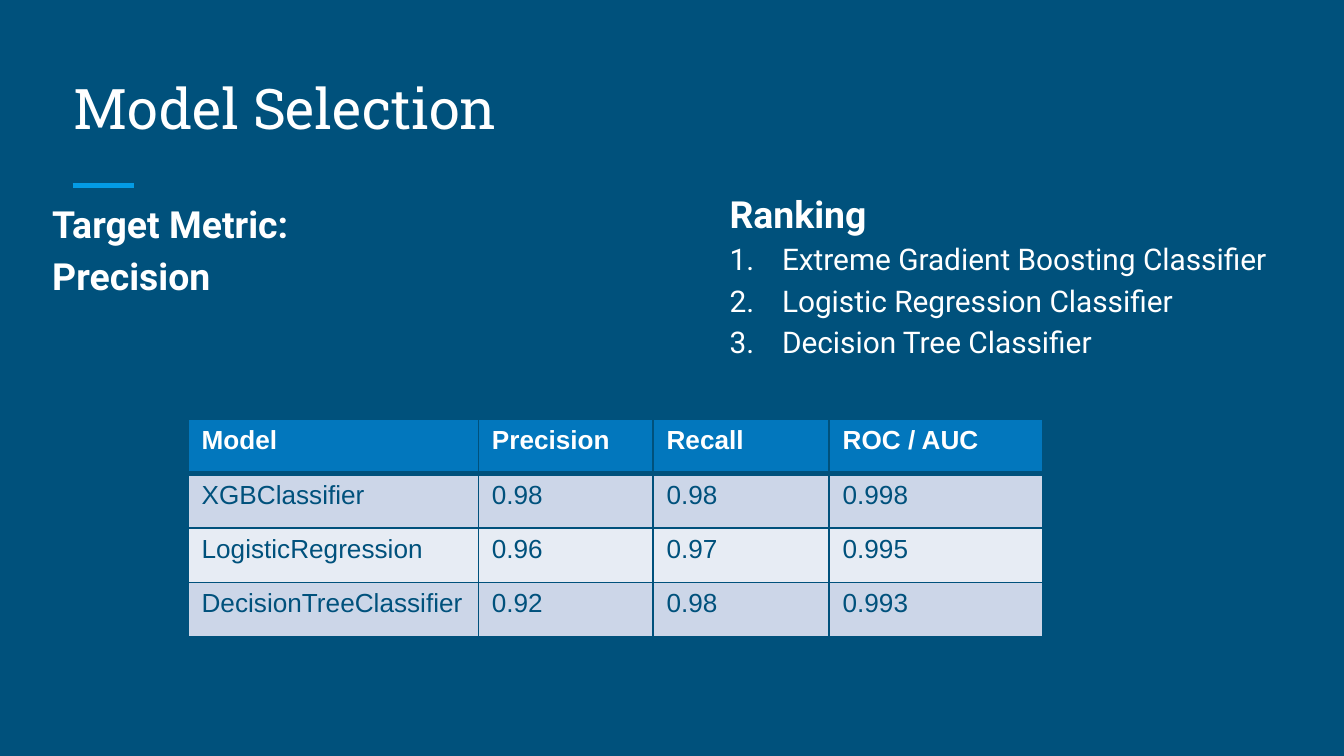
from pptx import Presentation
from pptx.dml.color import RGBColor
from pptx.enum import shapes, text
from pptx.oxml import xmlchemy as xml
from pptx.util import Inches, Pt

NAVY, BLUE, SKY, WHITE = "00517C", "0277BD", "039BE5", "FFFFFF"
BANDS = ["CCD6E8", "E7ECF4"]


def color(code):
    return RGBColor.from_string(code)


def add(parent, tag, **attrs):
    node = xml.OxmlElement(tag)
    for key, value in attrs.items():
        node.set(key, str(value))
    parent.append(node)
    return node


class Deck:
    font = "Roboto"

    def __init__(self, wide, high):
        self.prs = Presentation()
        self.prs.slide_width, self.prs.slide_height = Inches(wide), Inches(high)
        self.slide = self.prs.slides.add_slide(self.prs.slide_layouts[6])
        fill = self.slide.background.fill
        fill.solid()
        fill.fore_color.rgb = color(NAVY)

    def style(self, para, size, bold=False, code=WHITE, font=None):
        for run in para.runs:
            run.font.name = font or self.font
            run.font.size = Pt(size)
            run.font.bold = bold
            run.font.color.rgb = color(code)

    def box(self, lines, at, anchor=text.MSO_ANCHOR.TOP):
        shape = self.slide.shapes.add_textbox(*map(Inches, at))
        frame = shape.text_frame
        frame.word_wrap = True
        frame.vertical_anchor = anchor
        frame.margin_left = frame.margin_right = Inches(0.1)
        frame.margin_top = frame.margin_bottom = Inches(0.1)
        frame.text = "\n".join(lines)
        return frame.paragraphs

    def indent(self, para, left, first=0, number=False):
        para.line_spacing = 1.15
        props = para._p.get_or_add_pPr()
        props.set("marL", str(Inches(left)))
        props.set("indent", str(Inches(first)))
        if number:
            add(add(props, "a:buClr"), "a:srgbClr", val=WHITE)
            add(props, "a:buFont", typeface=self.font)
            add(props, "a:buAutoNum", type="arabicPeriod")

    def heading(self, para):
        self.indent(para, 0.11)
        self.style(para, 20, bold=True)

    def item(self, para):
        self.indent(para, 0.5, -0.39, number=True)
        self.style(para, 16)

    def line(self, x1, x2, y):
        rule = self.slide.shapes.add_connector(
            shapes.MSO_CONNECTOR.STRAIGHT,
            Inches(x1), Inches(y), Inches(x2), Inches(y))
        rule.line.color.rgb = color(SKY)
        rule.line.width = Pt(3)
        add(rule._element.spPr, "a:effectLst")

    def border(self, cell, widths):
        props = cell._tc.get_or_add_tcPr()
        for side, width in widths.items():
            edge = add(props, "a:ln" + side, w=Pt(width))
            add(add(edge, "a:solidFill"), "a:srgbClr", val=NAVY)

    def table(self, rows, at, cols, high):
        grid = self.slide.shapes.add_table(
            len(rows), len(cols), Inches(at[0]), Inches(at[1]),
            Inches(sum(cols)), Inches(high)).table
        for col, width in zip(grid.columns, cols):
            col.width = Inches(width)
        for r, row in enumerate(rows):
            head = r == 0
            for c, value in enumerate(row):
                cell = grid.cell(r, c)
                # Borders come before the fill in the cell properties
                self.border(cell, {"L": 1, "R": 1, "T": 3 if r == 1 else 1,
                                   "B": 3 if head else 1})
                cell.fill.solid()
                cell.fill.fore_color.rgb = color(
                    BLUE if head else BANDS[(r - 1) % 2])
                cell.text_frame.text = value
                self.style(cell.text_frame.paragraphs[0], 14, head,
                           WHITE if head else NAVY, "Arial")


def main():
    # Widescreen, 16 by 9
    deck = Deck(10, 10 * 9 / 16)

    # Title and accent line
    deck.line(0.54, 1, 1.38)
    title = deck.box(["Model Selection"], (0.45, 0.4, 4.37, 0.75),
                     text.MSO_ANCHOR.BOTTOM)
    deck.style(title[0], 30, font="Roboto Slab")

    # Target metric
    for para in deck.box(["Target Metric:", "Precision"],
                         (0.18, 1.35, 5.28, 3.69)):
        deck.heading(para)

    # Scores
    deck.table([
        ["Model", "Precision", "Recall", "ROC / AUC"],
        ["XGBClassifier", "0.98", "0.98", "0.998"],
        ["LogisticRegression", "0.96", "0.97", "0.995"],
        ["DecisionTreeClassifier", "0.92", "0.98", "0.993"],
    ], (1.4, 3.12), [2.16, 1.3, 1.31, 1.59], 1.62)

    # Ranking
    head, *items = deck.box([
        "Ranking",
        "Extreme Gradient Boosting Classifier",
        "Logistic Regression Classifier",
        "Decision Tree Classifier",
    ], (5.22, 1.27, 5.28, 3.69))
    deck.heading(head)
    for para in items:
        deck.item(para)

    deck.prs.save("out.pptx")


if __name__ == "__main__":
    main()
